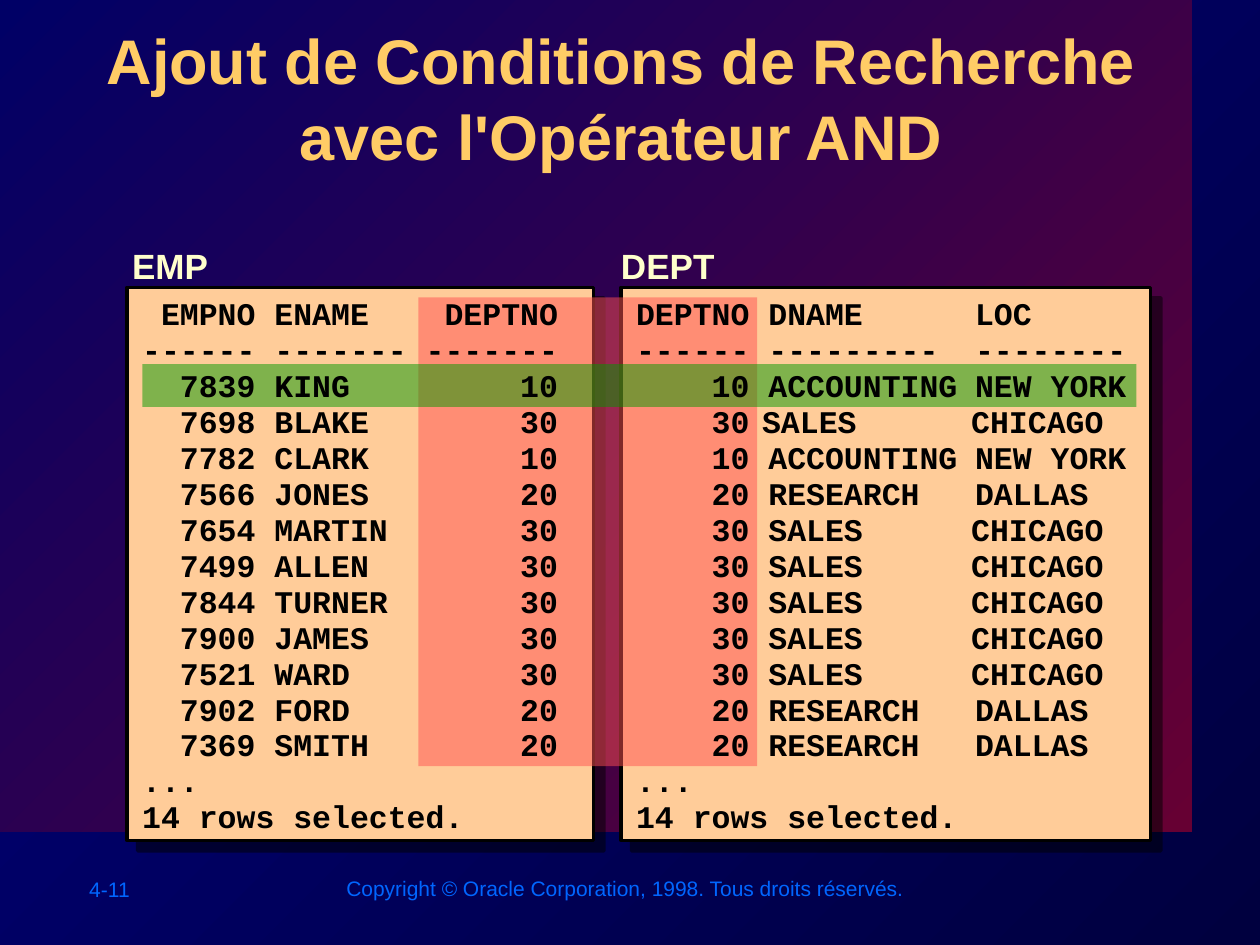
from lxml import etree
from pptx import Presentation
from pptx import util as u
from pptx.dml.color import RGBColor
from pptx.enum import shapes, text
from pptx.oxml import ns

HUES = {
    "night": "00003F", "navy": "000080", "wine": "660033", "blue": "000066",
    "gold": "FFCC66", "cream": "FFFFCC", "foot": "0066FF", "peach": "FFCC99",
    "red": "FF5050", "green": "009900", "black": "000000",
}
STAFF = [
    (7839, "KING", 10), (7698, "BLAKE", 30), (7782, "CLARK", 10),
    (7566, "JONES", 20), (7654, "MARTIN", 30), (7499, "ALLEN", 30),
    (7844, "TURNER", 30), (7900, "JAMES", 30), (7521, "WARD", 30),
    (7902, "FORD", 20), (7369, "SMITH", 20),
]
DEPTS = {10: "ACCOUNTING\tNEW YORK", 20: "RESEARCH\tDALLAS", 30: "SALES\t    CHICAGO"}
STOPS = (1, 2.06, 2.69)
TAIL = ["...", "14 rows selected."]


def rgb(name):
    return RGBColor.from_string(HUES[name])


def sub(node, tag, **attrs):
    return etree.SubElement(node, ns.qn("a:" + tag), attrs)


def shade(node, dist, alpha):
    """Add a black shadow that falls down and to the right."""
    glow = sub(node, "outerShdw", dist=str(u.Pt(dist)), dir="2700000", algn="ctr", rotWithShape="0")
    sub(sub(glow, "srgbClr", val=HUES["black"]), "alpha", val=str(alpha * 1000))


def blend(fill, start, end):
    fill.gradient()
    fill.gradient_angle = 135
    for stop, hue in zip(fill.gradient_stops, (start, end)):
        stop.color.rgb = rgb(hue)


def place(shape, box):
    shape.left, shape.top, shape.width, shape.height = map(u.Inches, box)


def write(frame, lines, size, hue, font="Arial", bold=False, align=None, space=None, tabs=()):
    """Write one paragraph for each line, all in one format."""
    for i, line in enumerate(lines):
        para = frame.paragraphs[0] if i == 0 else frame.add_paragraph()
        para.alignment = align
        if space:
            para.line_spacing = space
        if tabs:
            stops = sub(para._p.get_or_add_pPr(), "tabLst")
            for pos in tabs:
                sub(stops, "tab", pos=str(u.Inches(pos)), algn="l")
        run = para.add_run()
        run.text = line
        run.font.name, run.font.size, run.font.bold = font, u.Pt(size), bold
        run.font.color.rgb = rgb(hue)


def label(slide, box, lines, wrap=False, **form):
    shape = slide.shapes.add_textbox(*map(u.Inches, box))
    frame = shape.text_frame
    frame.word_wrap = wrap
    frame.auto_size = text.MSO_AUTO_SIZE.SHAPE_TO_FIT_TEXT
    write(frame, lines, **form)


def block(slide, box):
    shape = slide.shapes.add_shape(shapes.MSO_SHAPE.RECTANGLE, *map(u.Inches, box))
    shape.shadow.inherit = False
    shape.line.fill.background()
    return shape


def card(slide, box):
    shape = block(slide, box)
    shape.fill.solid()
    shape.fill.fore_color.rgb = rgb("peach")
    shape.line.color.rgb = rgb("black")
    shape.line.width = u.Pt(2)
    shade(shape._element.spPr.find(ns.qn("a:effectLst")), 8.5, 50)


def veil(slide, box, hue):
    """Lay a half clear band over the cards."""
    shape = block(slide, box)
    shape.fill.solid()
    shape.fill.fore_color.rgb = rgb(hue)
    color = shape._element.spPr.find(".//" + ns.qn("a:srgbClr"))
    sub(color, "alpha", val="50000")


def listing(slide, box, lines, tabs=()):
    left, top, width, height = box
    label(slide, (left + 0.02, top + 0.03, width - 0.03, height), lines, wrap=True,
          size=18, hue="black", font="Courier New", bold=True, space=0.95, tabs=tabs)


def heading(slide, box, line):
    title = slide.shapes.title
    place(title, box)
    frame = title.text_frame
    frame.word_wrap = True
    frame.auto_size = text.MSO_AUTO_SIZE.NONE
    frame.vertical_anchor = text.MSO_ANCHOR.TOP
    write(frame, [line], size=36, hue="gold", bold=True, align=text.PP_ALIGN.CENTER)
    props = frame.paragraphs[0].runs[0].font._element
    glow = etree.Element(ns.qn("a:effectLst"))
    props.find(ns.qn("a:solidFill")).addnext(glow)
    shade(glow, 3, 100)


def backdrop(slide, box):
    blend(slide.background.fill, "night", "navy")
    panel = block(slide, box)
    blend(panel.fill, "wine", "blue")
    slide.shapes.title.element.addprevious(panel.element)


def footer(slide, top):
    label(slide, (0.61, top + 0.01, 1.11, 0.3), ["4-11"], size=12, hue="foot")
    label(slide, (2.65, top, 4.66, 0.3),
          ["Copyright © Oracle Corporation, 1998. Tous droits réservés."], size=12, hue="foot")


def tables(slide, emp, dept):
    for box in (emp, dept):
        card(slide, box)
    for name, left, width in (("EMP", 0.95, 0.88), ("DEPT", 4.83, 1.02)):
        label(slide, (left, emp[1] - 0.39, width, 0.43), [name], size=20, hue="cream", bold=True)
    veil(slide, (3.32, emp[1] + 0.08, 2.69, 3.72), "red")
    veil(slide, (1.13, emp[1] + 0.61, 7.89, 0.34), "green")

    rows = [f"{num:>6} {name:<7}{dep:>8}" for num, name, dep in STAFF]
    listing(slide, emp, [" EMPNO ENAME    DEPTNO", "------ ------- -------"] + rows + TAIL)

    rows = [f"{dep:>6} {DEPTS[dep]}" for _, _, dep in STAFF]
    rows[1] = f"{30:>6}\t{DEPTS[30]}"
    head = ["DEPTNO DNAME     \tLOC", "------ ---------\t--------"]
    listing(slide, dept, head + rows + TAIL, tabs=STOPS)


def main():
    deck = Presentation()
    deck.slide_width, deck.slide_height = u.Inches(10), u.Inches(7.5)
    slide = deck.slides.add_slide(deck.slide_layouts[5])
    backdrop(slide, (0, 0, 9.46, 6.6))
    heading(slide, (0.38, 0.12, 9.1, 0.96),
            "Ajout de Conditions de Recherche avec l'Opérateur AND")
    tables(slide, (1.01, 2.28, 3.7, 4.39), (4.93, 2.28, 4.2, 4.39))
    footer(slide, 6.9)
    deck.save("out.pptx")


if __name__ == "__main__":
    main()
